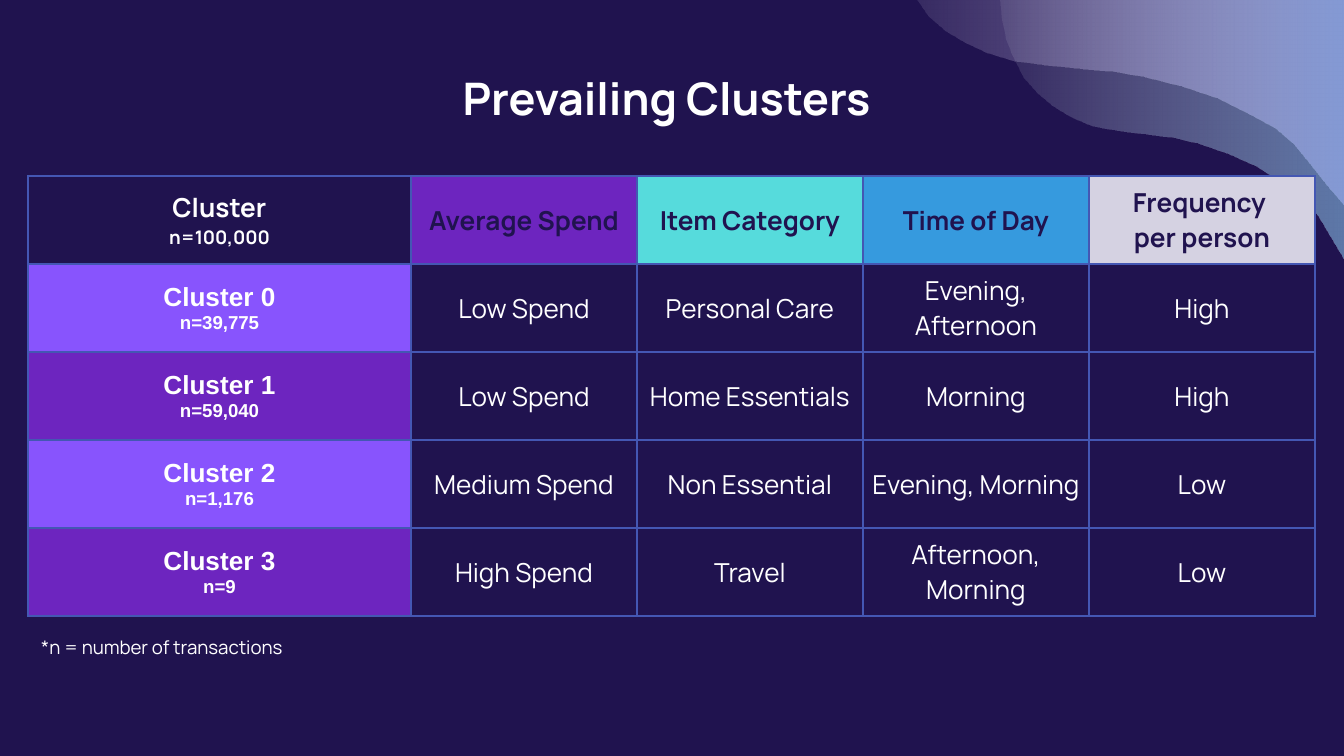
from dataclasses import dataclass

from lxml import etree
from pptx import Presentation
from pptx import util as u
from pptx.dml.color import RGBColor
from pptx.enum import text
from pptx.oxml.ns import qn


@dataclass(frozen=True)
class Theme:
    night: str = "20134F"
    white: str = "FFFFFF"
    violet: str = "8854FD"
    purple: str = "6D25BF"
    aqua: str = "56DBDC"
    sky: str = "369ADE"
    mist: str = "D5D2E2"
    rule: str = "4457B3"
    font: str = "Manrope"
    label: str = "Arial"
    title: int = 24
    cell: int = 14
    note: int = 10


T = Theme()
SCALE = 914400 / 134.4

TITLE = "Prevailing Clusters "
NOTE = "*n = number of transactions"
HEADS = [
    (["Cluster", "n=100,000"], None),
    (["Average Spend"], T.purple),
    (["Item Category"], T.aqua),
    (["Time of Day"], T.sky),
    (["Frequency ", "per person"], T.mist),
]
ROWS = [
    ("Cluster 0", "n=39,775", "Low Spend", "Personal Care", "Evening, Afternoon", "High"),
    ("Cluster 1", "n=59,040", "Low Spend", "Home Essentials", "Morning", "High"),
    ("Cluster 2", "n=1,176", "Medium Spend", "Non Essential", "Evening, Morning", "Low"),
    ("Cluster 3", "n=9", "High Spend", "Travel", "Afternoon, Morning", "Low"),
]
COLS = [383, 226, 226, 226, 226]
ROW = 88

# Wave outline in thousandths of its box
WAVE = [
    (0, 0), (23, 31), (44, 62), (62, 96), (76, 127), (86, 169), (91, 220),
    (91, 274), (91, 325), (94, 370), (100, 412), (109, 444), (125, 486),
    (144, 517), (166, 542), (190, 562), (219, 579), (252, 588), (295, 596),
    (332, 602), (367, 613), (409, 633), (450, 658), (483, 689), (514, 720),
    (535, 754), (551, 791), (573, 842), (595, 890), (619, 932), (647, 969),
    (671, 1000), (1000, 1000), (1000, 0),
]
WAVES = [((818, -215, 890, 476), T.violet), ((935, -173, 716, 515), T.sky)]


def px(n):
    return u.Emu(round(n * SCALE))


def rgb(code):
    return RGBColor.from_string(code)


def style(para, size, color, bold=False, face=T.font):
    font = para.font
    font.size, font.bold, font.name = u.Pt(size), bold, face
    font.color.rgb = rgb(color)


def add_wave(slide, box, color):
    """Draw the wave, fading from its colour at the right to clear at the left."""
    x, y, w, h = box
    pen = slide.shapes.build_freeform(*WAVE[0], scale=(px(w) / 1000, px(h) / 1000))
    pen.add_line_segments(WAVE[1:], close=True)
    wave = pen.convert_to_shape(px(x), px(y))
    wave.shadow.inherit = False
    wave.line.fill.background()
    wave.fill.gradient()
    wave.fill.gradient_angle = 180
    for stop, code in zip(wave.fill.gradient_stops, (color, T.white)):
        stop.color.rgb = rgb(code)
    clear = list(wave.element.spPr.iter(qn("a:srgbClr")))[-1]
    etree.SubElement(clear, qn("a:alpha"), val="0")


def add_text(slide, box, words, size, bold=False, align=None):
    frame = slide.shapes.add_textbox(*map(px, box)).text_frame
    frame.word_wrap = True
    frame.margin_top = frame.margin_bottom = px(13)
    para = frame.paragraphs[0]
    para.text, para.alignment = words, align
    style(para, size, T.white, bold)


def add_rules(cell):
    """Outline all four sides of a cell."""
    props = cell._tc.get_or_add_tcPr()
    for side in ("lnL", "lnR", "lnT", "lnB"):
        line = etree.SubElement(props, qn("a:" + side), w=str(u.Pt(1.5)))
        fill = etree.SubElement(line, qn("a:solidFill"))
        etree.SubElement(fill, qn("a:srgbClr"), val=T.rule)


def fill_cell(cell, lines, back, color=T.white, bold=False, face=T.font):
    add_rules(cell)
    if back:
        cell.fill.solid()
        cell.fill.fore_color.rgb = rgb(back)
    else:
        cell.fill.background()
    cell.margin_left = cell.margin_right = cell.margin_top = cell.margin_bottom = 0
    cell.vertical_anchor = text.MSO_ANCHOR.MIDDLE
    cell.text = "\n".join(lines)
    for para, line in zip(cell.text_frame.paragraphs, lines):
        para.alignment = text.PP_ALIGN.CENTER
        style(para, T.note if line.startswith("n=") else T.cell, color, bold, face)


def add_grid(slide):
    count = len(ROWS) + 1
    box = map(px, (28, 176, sum(COLS), ROW * count))
    grid = slide.shapes.add_table(count, len(COLS), *box).table
    grid.first_row = grid.horz_banding = False
    for col, width in zip(grid.columns, COLS):
        col.width = px(width)
    for row in grid.rows:
        row.height = px(ROW)
    for c, (lines, back) in enumerate(HEADS):
        fill_cell(grid.cell(0, c), lines, back, T.night if back else T.white, True)
    for r, (name, size, *facts) in enumerate(ROWS, 1):
        back = T.violet if r % 2 else T.purple
        fill_cell(grid.cell(r, 0), [name, size], back, bold=True, face=T.label)
        for c, fact in enumerate(facts, 1):
            fill_cell(grid.cell(r, c), [fact], T.night)


def main():
    deck = Presentation()
    deck.slide_width, deck.slide_height = px(1344), px(756)
    slide = deck.slides.add_slide(deck.slide_layouts[6])
    slide.background.fill.solid()
    slide.background.fill.fore_color.rgb = rgb(T.night)
    for box, color in WAVES:
        add_wave(slide, box, color)
    add_grid(slide)
    add_text(slide, (314, 58, 714, 82), TITLE, T.title, True, text.PP_ALIGN.CENTER)
    add_text(slide, (28, 625, 310, 50), NOTE, T.note)
    deck.save("out.pptx")


if __name__ == "__main__":
    main()
